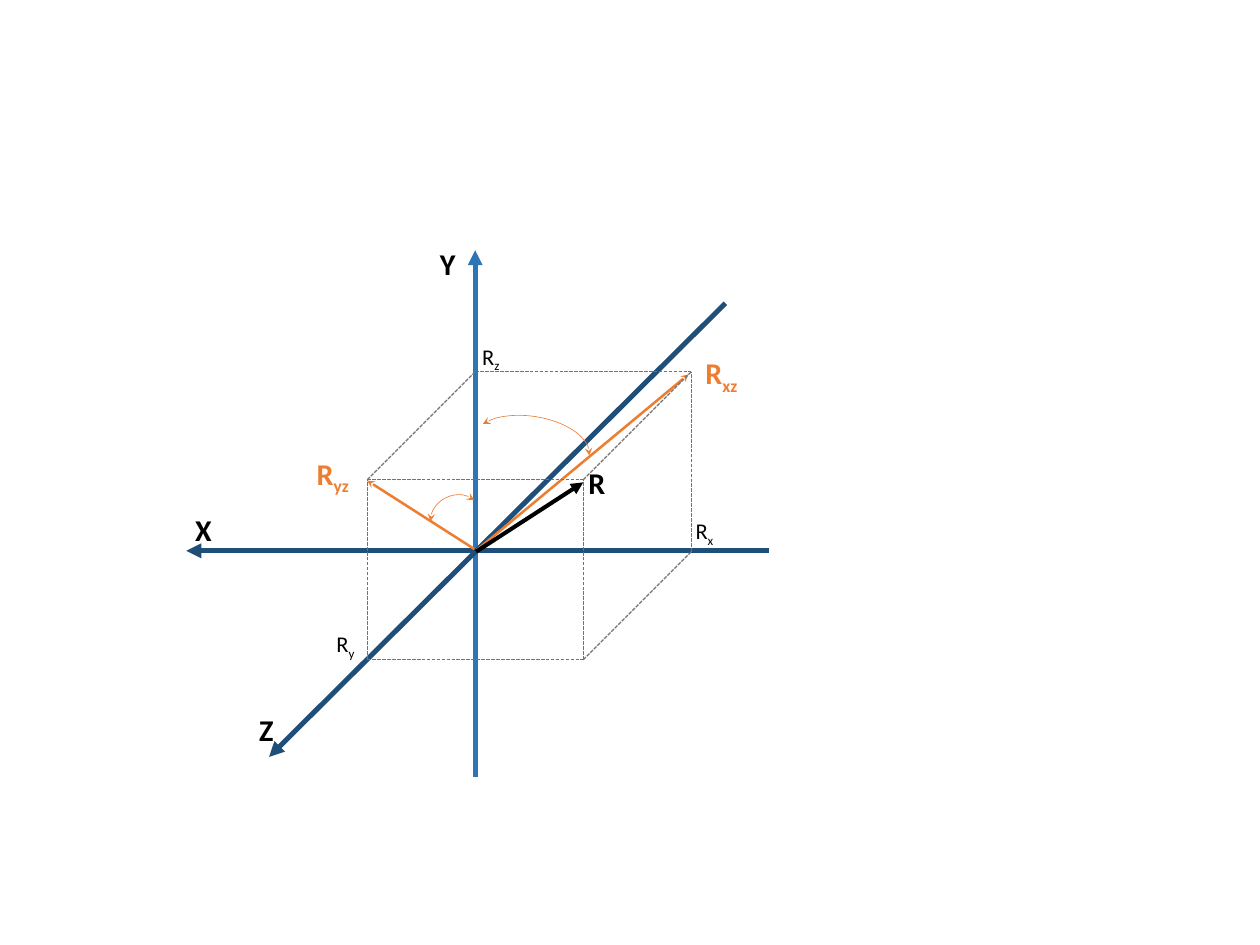
from itertools import combinations, product

from lxml import etree
from pptx import Presentation
from pptx.dml.color import RGBColor
from pptx.enum.dml import MSO_LINE
from pptx.enum.shapes import MSO_CONNECTOR, MSO_SHAPE
from pptx.enum.text import MSO_AUTO_SIZE
from pptx.oxml.ns import qn
from pptx.util import Inches, Pt

STRAIGHT = MSO_CONNECTOR.STRAIGHT
ARC = MSO_SHAPE.ARC
DASH = MSO_LINE.SQUARE_DOT
FIT_SHAPE = MSO_AUTO_SIZE.SHAPE_TO_FIT_TEXT

BLUE = RGBColor(0x2E, 0x75, 0xB6)
NAVY = RGBColor(0x1F, 0x4E, 0x79)
ORANGE = RGBColor(0xED, 0x7D, 0x31)
BLACK = RGBColor(0, 0, 0)
GRAY = RGBColor(0x76, 0x71, 0x71)
FONT = "Calibri"

# start, end, colour, width in points, arrowhead
AXES_AND_VECTORS = [
    ((5.28, 8.63), (5.28, 2.78), BLUE, 4, "triangle"),
    ((8.54, 6.12), (2.07, 6.12), NAVY, 4, "triangle"),
    ((8.06, 3.37), (2.99, 8.41), NAVY, 4, "triangle"),
    ((5.27, 6.1), (4.08, 5.34), ORANGE, 2, "stealth"),
    ((5.3, 6.11), (7.65, 4.16), ORANGE, 2, "stealth"),
    ((5.29, 6.13), (6.48, 5.36), BLACK, 3.25, "triangle"),
]

# front lower left corner of the dashed box, and its extents
BOX_LEFT, BOX_BOTTOM = 4.08, 7.33
BOX_WIDTH, BOX_HEIGHT, BOX_DEPTH = 2.4, 2.0, 1.2
HIDDEN_CORNER = (0, 0, 1)

# left, top, width, height, rotation, adjustments
ANGLE_ARCS = [
    (4.82, 5.46, 0.48, 0.57, 243.8, (172.06, 44.563)),
    (5.56, 4.31, 0.68, 1.31, 278.8, (172.06, 53.693)),
]

# letter, subscript, left, top, width, colour
LARGE_LABELS = [
    ("X", "", 2.07, 5.63, 0.43, BLACK),
    ("Y", "", 4.79, 2.68, 0.43, BLACK),
    ("Z", "", 2.78, 7.85, 0.41, BLACK),
    ("R", "yz", 3.42, 5.01, 0.68, ORANGE),
    ("R", "xz", 7.74, 3.89, 0.68, ORANGE),
    ("R", "", 6.44, 5.11, 0.45, BLACK),
]
SMALL_LABELS = [
    ("R", "x", 7.63, 5.7, 0.47, BLACK),
    ("R", "y", 3.64, 6.95, 0.47, BLACK),
    ("R", "z", 5.26, 3.76, 0.47, BLACK),
]


def add_arrowheads(shape, style, ends):
    """Put arrowheads on the named ends of a line."""
    line = shape.line._get_or_add_ln()
    for end in ends:
        etree.SubElement(line, qn("a:" + end), type=style)


def add_line(slide, start, end, color, width):
    """Draw a straight line without a shadow."""
    connector = slide.shapes.add_connector(
        STRAIGHT, *[Inches(value) for value in (*start, *end)])
    connector.line.color.rgb = color
    connector.line.width = Pt(width)
    etree.SubElement(connector._element.spPr, qn("a:effectLst"))
    return connector


def box_point(corner):
    """Project a corner, given as right, up and back steps, onto the slide."""
    right, up, back = corner
    return (BOX_LEFT + right * BOX_WIDTH + back * BOX_DEPTH,
            BOX_BOTTOM - up * BOX_HEIGHT - back * BOX_DEPTH)


def add_box(slide):
    """Draw the dashed edges that do not meet the hidden corner."""
    corners = [corner for corner in product((0, 1), repeat=3)
               if corner != HIDDEN_CORNER]
    for first, second in combinations(corners, 2):
        if sum(a != b for a, b in zip(first, second)) == 1:
            edge = add_line(slide, box_point(first), box_point(second), GRAY, 1)
            edge.line.dash_style = DASH


def add_angle_arc(slide, left, top, width, height, rotation, adjustments):
    """Draw a double-headed arc that marks an angle."""
    arc = slide.shapes.add_shape(
        ARC, Inches(left), Inches(top), Inches(width), Inches(height))
    arc.rotation = rotation
    for index, value in enumerate(adjustments):
        arc.adjustments[index] = value
    arc.shadow.inherit = False
    arc.fill.background()
    arc.line.color.rgb = ORANGE
    arc.line.width = Pt(0.5)
    add_arrowheads(arc, "stealth", ("headEnd", "tailEnd"))


def add_label(slide, label, height, size, bold):
    """Write a letter with an optional subscript."""
    letter, subscript, left, top, width, color = label
    text_box = slide.shapes.add_textbox(
        Inches(left), Inches(top), Inches(width), Inches(height))
    text_frame = text_box.text_frame
    text_frame.word_wrap = False
    text_frame.auto_size = FIT_SHAPE
    paragraph = text_frame.paragraphs[0]
    for text in filter(None, (letter, subscript)):
        run = paragraph.add_run()
        run.text = text
        run.font.name = FONT
        run.font.size = Pt(size)
        run.font.bold = bold
        run.font.color.rgb = color
    if subscript:
        run.font._element.set("baseline", "-25000")


presentation = Presentation()
presentation.slide_width = Inches(14)
presentation.slide_height = Inches(10.5)
slide = presentation.slides.add_slide(presentation.slide_layouts[6])

for start, end, color, width, arrowhead in AXES_AND_VECTORS:
    arrow = add_line(slide, start, end, color, width)
    add_arrowheads(arrow, arrowhead, ("tailEnd",))
add_box(slide)
for arc_values in ANGLE_ARCS:
    add_angle_arc(slide, *arc_values)
for label in LARGE_LABELS:
    add_label(slide, label, 0.51, 24.1, True)
for label in SMALL_LABELS:
    add_label(slide, label, 0.4, 18, False)

presentation.save("out.pptx")
